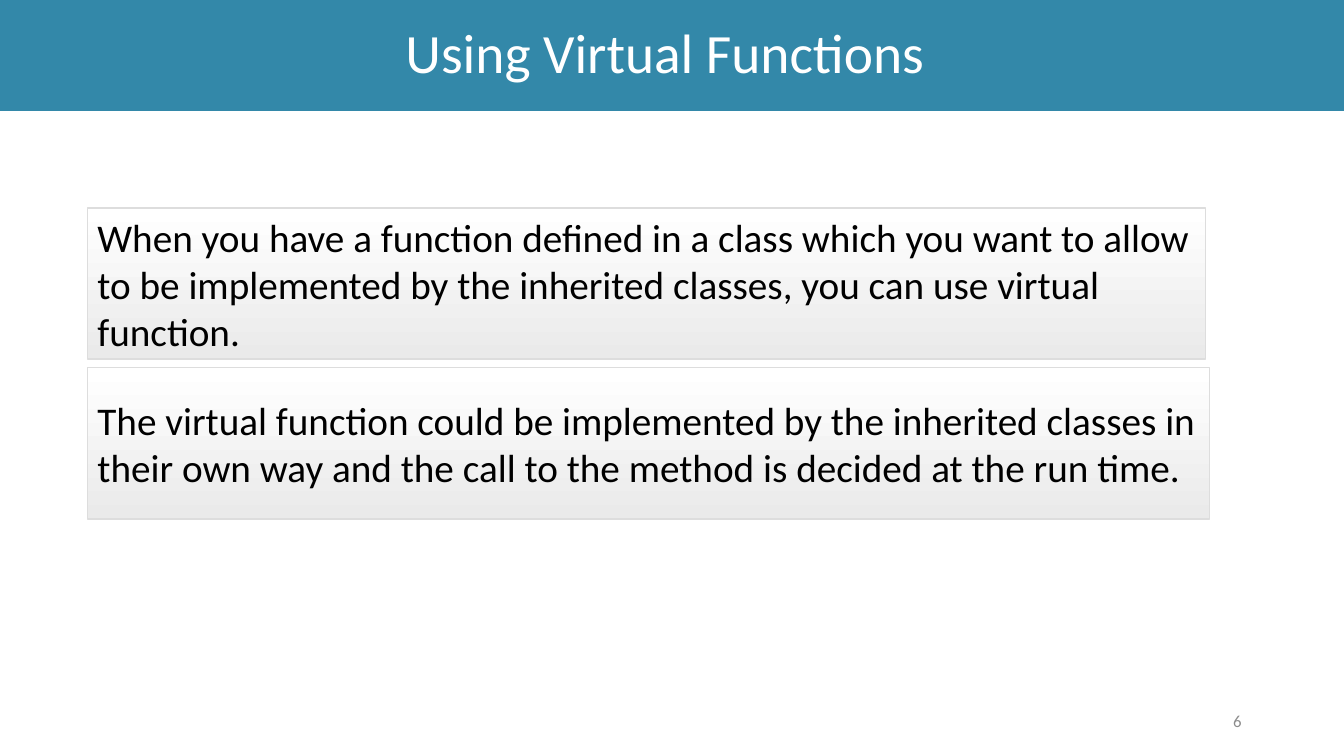
from dataclasses import dataclass

import pptx
import pptx.dml.color
import pptx.enum.shapes
import pptx.enum.text
import pptx.slide
import pptx.util
from pptx.dml.color import RGBColor
from pptx.enum.text import PP_ALIGN
from pptx.util import Pt

WHITE = RGBColor(0xFF, 0xFF, 0xFF)
BLACK = RGBColor(0x00, 0x00, 0x00)
BANNER_BLUE = RGBColor(0x33, 0x88, 0xA9)
NUMBER_GRAY = RGBColor(0x8C, 0x8C, 0x8C)
PANEL_GRAY = RGBColor(0xEA, 0xEA, 0xEA)
BORDER_GRAY = RGBColor(0xDD, 0xDD, 0xDD)

FONT = "Calibri"
SLIDE_WIDTH = 960
SLIDE_HEIGHT = 540
PANEL_LEFT = 62.5
PANEL_TOP = 148.5
PANEL_HEIGHT = 108
PANEL_STEP = 114.25


@dataclass(frozen=True)
class Label:
    text: str
    size: float
    color: RGBColor
    align: PP_ALIGN
    line_spacing: float = 1.0
    right_inset: float = 7.2


@dataclass(frozen=True)
class Panel:
    text: str
    width: float


PANELS = (
    Panel(
        "When you have a function defined in a class which you want to allow "
        "to be implemented by the inherited classes, you can use virtual function.",
        798.5,
    ),
    Panel(
        "The virtual function could be implemented by the inherited classes in "
        "their own way and the call to the method is decided at the run time.",
        801.5,
    ),
)


def apply_format(target: object, values: dict[str, object]) -> None:
    for name, value in values.items():
        setattr(target, name, value)


def write_label(box: pptx.shapes.base.BaseShape, label: Label) -> None:
    frame = box.text_frame
    apply_format(frame, {
        "word_wrap": True,
        "vertical_anchor": pptx.enum.text.MSO_ANCHOR.MIDDLE,
        "margin_right": Pt(label.right_inset),
    })
    para = frame.paragraphs[0]
    apply_format(para, {"alignment": label.align, "line_spacing": label.line_spacing})
    span = para.add_run()
    span.text = label.text
    apply_format(span.font, {"name": FONT, "size": Pt(label.size)})
    span.font.color.rgb = label.color


def add_rectangle(
    page: pptx.slide.Slide, left: float, top: float, width: float, height: float
) -> pptx.shapes.autoshape.Shape:
    box = page.shapes.add_shape(
        pptx.enum.shapes.MSO_SHAPE.RECTANGLE, Pt(left), Pt(top), Pt(width), Pt(height)
    )
    box.shadow.inherit = False
    return box


def add_banner(page: pptx.slide.Slide) -> None:
    box = add_rectangle(page, 0, 0, SLIDE_WIDTH, 79.2)
    box.fill.solid()
    box.fill.fore_color.rgb = BANNER_BLUE
    box.line.fill.background()
    write_label(box, Label("Using Virtual Functions", 39.6, WHITE, PP_ALIGN.CENTER, 0.9, 17.2))


def add_panel(page: pptx.slide.Slide, panel: Panel, top: float) -> None:
    box = add_rectangle(page, PANEL_LEFT, top, panel.width, PANEL_HEIGHT)
    box.fill.gradient()
    box.fill.gradient_angle = 270
    for stop, position, color in zip(box.fill.gradient_stops, (0, 1), (WHITE, PANEL_GRAY)):
        stop.position = position
        stop.color.rgb = color
    box.line.color.rgb = BORDER_GRAY
    box.line.width = Pt(1)
    write_label(box, Label(panel.text, 28, BLACK, PP_ALIGN.LEFT))


def add_page_number(page: pptx.slide.Slide) -> None:
    box = page.shapes.add_textbox(Pt(678), Pt(500.5), Pt(216), Pt(28.75))
    write_label(box, Label("6", 12, NUMBER_GRAY, PP_ALIGN.RIGHT))


def main() -> None:
    deck = pptx.Presentation()
    apply_format(deck, {"slide_width": Pt(SLIDE_WIDTH), "slide_height": Pt(SLIDE_HEIGHT)})
    page = deck.slides.add_slide(deck.slide_layouts[6])
    add_banner(page)
    add_page_number(page)
    for index, panel in enumerate(PANELS):
        add_panel(page, panel, PANEL_TOP + index * PANEL_STEP)
    deck.save("out.pptx")


if __name__ == "__main__":
    main()
